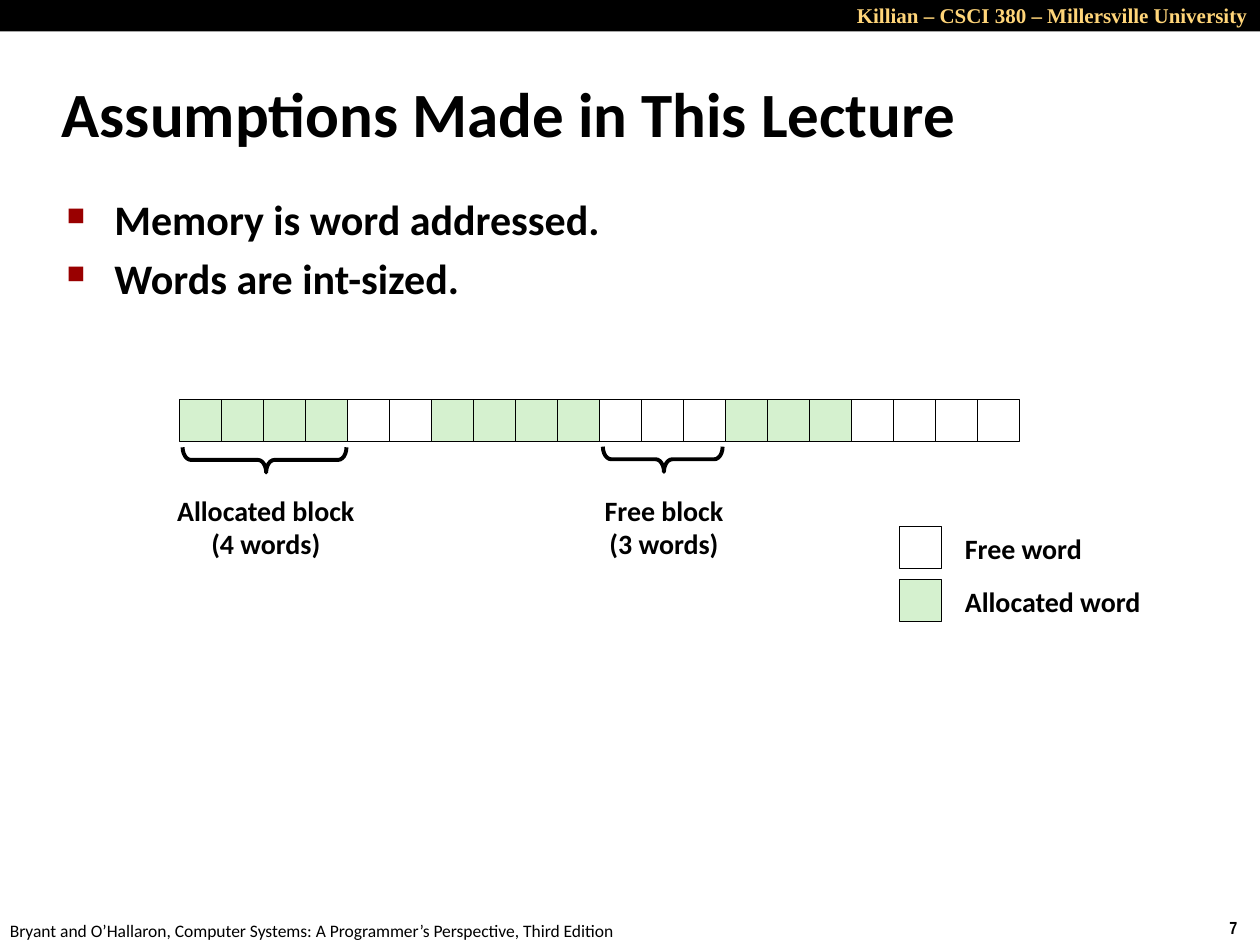
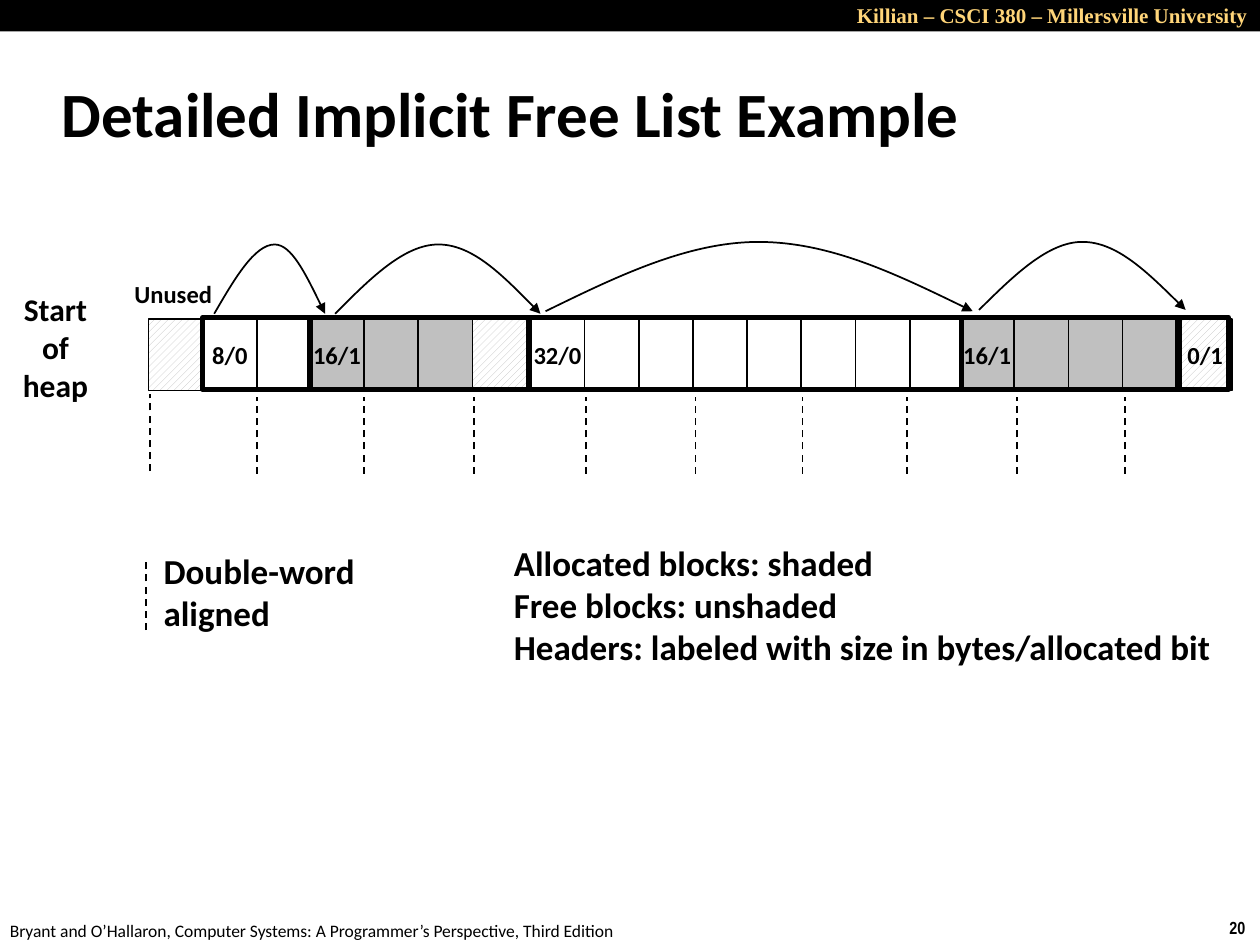
from dataclasses import dataclass
from typing import Optional

from lxml import etree
from pptx import Presentation
from pptx.dml.color import RGBColor
from pptx.enum.dml import MSO_LINE, MSO_PATTERN
from pptx.enum.shapes import MSO_CONNECTOR, MSO_SHAPE
from pptx.enum.text import MSO_ANCHOR, MSO_AUTO_SIZE, PP_ALIGN
from pptx.oxml.ns import qn
from pptx.util import Emu, Pt

LEFT, CENTER, RIGHT = PP_ALIGN.LEFT, PP_ALIGN.CENTER, PP_ALIGN.RIGHT
TOP, MIDDLE = MSO_ANCHOR.TOP, MSO_ANCHOR.MIDDLE
RECT, BRACE = MSO_SHAPE.RECTANGLE, MSO_SHAPE.LEFT_BRACE
STRAIGHT, DASH = MSO_CONNECTOR.STRAIGHT, MSO_LINE.DASH
HATCHING = MSO_PATTERN.WIDE_UPWARD_DIAGONAL
NO_FIT = MSO_AUTO_SIZE.NONE

EMU_PER_PX = 9144  # 100 px to the inch
TITLE_ONLY = 5

COLORS = {
    "ink": "000000",
    "paper": "FFFFFF",
    "course": "FFD579",
    "bullet": "990000",
    "allocated": "D5F1CF",
    "shaded": "C0C0C0",
}


def font_format(size: int, name: str = "Calibri", bold: bool = True) -> dict:
    return {"size": Pt(size), "name": name, "bold": bold}


TITLE = font_format(36)
BODY = font_format(24)
NOTE = font_format(20)
SIDE = font_format(18)
LABEL = font_format(16)
HEADER = font_format(14)
COURSE = font_format(12, "Times New Roman")
PAGE = font_format(10, "Arial Narrow")
SOURCE = font_format(10, bold=False)


@dataclass
class Label:
    x: int
    y: int
    w: int
    h: int
    lines: list[str]
    font: dict
    color: str = "ink"
    align: PP_ALIGN = LEFT
    anchor: MSO_ANCHOR = TOP
    wrap: bool = False
    spacing: Optional[float] = None


@dataclass
class Block:
    x: int
    header: str
    fills: list[str]
    outline: Optional[tuple[int, int]] = None  # left and width


@dataclass
class Arc:
    start: int
    apex: int
    end: int
    top: int
    base: int


def px(n: float) -> Emu:
    return Emu(round(n * EMU_PER_PX))


def rgb(key: str) -> RGBColor:
    return RGBColor.from_string(COLORS[key])


# ---- drawing helpers ----
def write(tf, lines: list[str], font: dict, color: str = "ink",
          align: PP_ALIGN = LEFT, spacing: Optional[float] = None) -> None:
    for i, line in enumerate(lines):
        p = tf.add_paragraph() if i else tf.paragraphs[0]
        p.alignment = align
        if spacing:
            p.line_spacing = spacing
        r = p.add_run()
        r.text = line
        for key, value in font.items():
            setattr(r.font, key, value)
        r.font.color.rgb = rgb(color)


def add_label(slide, label: Label):
    box = (label.x, label.y, label.w, label.h)
    tf = slide.shapes.add_textbox(*map(px, box)).text_frame
    tf.word_wrap = label.wrap
    tf.vertical_anchor = label.anchor
    write(tf, label.lines, label.font, label.color, label.align, label.spacing)
    return tf


def set_line(line, width: float) -> None:
    line.color.rgb = rgb("ink")
    line.width = Pt(width)


def add_box(slide, x: float, y: int, w: float, h: float, fill: Optional[str] = None,
            width: float = 1, kind: MSO_SHAPE = RECT):
    sp = slide.shapes.add_shape(kind, *map(px, (x, y, w, h)))
    sp.shadow.inherit = False
    if fill is None:
        sp.fill.background()
    elif fill == "hatched":
        sp.fill.patterned()
        sp.fill.pattern = HATCHING
        sp.fill.fore_color.rgb = rgb("shaded")
        sp.fill.back_color.rgb = rgb("paper")
    else:
        sp.fill.solid()
        sp.fill.fore_color.rgb = rgb(fill)
    if width:
        set_line(sp.line, width)
    else:
        sp.line.fill.background()
    return sp


def add_brace(slide, x: int, y: int, w: int, h: int) -> None:
    sp = add_box(slide, x, y, w, h, width=2.25, kind=BRACE)
    sp.rotation = 270
    sp.adjustments[0] = 0.33
    sp.adjustments[1] = 0.51


def add_dash(slide, x: int, bottom: int, top: int) -> None:
    line = slide.shapes.add_connector(STRAIGHT, *map(px, (x, bottom, x, top)))
    set_line(line.line, 1)
    line.line.dash_style = DASH
    etree.SubElement(line._element.spPr, qn("a:effectLst"))


def add_arc(slide, arc: Arc) -> None:
    rise, fall = (arc.apex - arc.start) / 3, (arc.end - arc.apex) / 3
    middle = (arc.top + arc.base) / 2
    points = [(arc.start + rise, middle), (arc.apex - rise, arc.top),
              (arc.apex, arc.top), (arc.apex + fall, arc.top),
              (arc.end - fall, middle), (arc.end, arc.base)]
    builder = slide.shapes.build_freeform(px(arc.start), px(arc.base))
    builder.add_line_segments([(px(x), px(y)) for x, y in points], close=False)
    sp = builder.convert_to_shape()
    sp.shadow.inherit = False
    sp.fill.background()
    set_line(sp.line, 1)
    # Turn each three straight segments into one cubic curve
    path = next(sp._element.iter(qn("a:path")))
    segments = path.findall(qn("a:lnTo"))
    for i in range(0, len(segments), 3):
        curve = etree.SubElement(path, qn("a:cubicBezTo"))
        for segment in segments[i:i + 3]:
            curve.append(segment[0])
            path.remove(segment)
    ln = sp._element.spPr.find(qn("a:ln"))
    etree.SubElement(ln, qn("a:tailEnd"), type="triangle")


def add_bullets(tf) -> None:
    for i, p in enumerate(tf.paragraphs):
        if i:
            p.space_before = Pt(4.8)
        pPr = p._p.get_or_add_pPr()
        pPr.set("marL", str(px(38)))
        pPr.set("indent", str(px(-38)))
        color = etree.SubElement(pPr, qn("a:buClr"))
        etree.SubElement(color, qn("a:srgbClr"), val=COLORS["bullet"])
        etree.SubElement(pPr, qn("a:buSzPct"), val="60000")
        etree.SubElement(pPr, qn("a:buChar"), char="■")


# ---- shared frame: band, course, page number, source, title ----
def add_frame(prs, title: str, page: str):
    slide = prs.slides.add_slide(prs.slide_layouts[TITLE_ONLY])
    add_box(slide, 0, 0, 1000, 25, "ink", width=0)
    for label in (
        Label(608, -3, 392, 30, ["Killian – CSCI 380 – Millersville University"],
              COURSE, "course", RIGHT, wrap=True),
        Label(966, 723, 34, 27, [page], PAGE),
        Label(-2, 725, 508, 27, ["Bryant and O’Hallaron, Computer Systems: "
                                 "A Programmer’s Perspective, Third Edition"], SOURCE),
    ):
        add_label(slide, label)
    sp = slide.shapes.title
    sp.left, sp.top, sp.width, sp.height = map(px, (39, 48, 830, 83))
    tf = sp.text_frame
    tf.auto_size = NO_FIT
    tf.vertical_anchor = MIDDLE
    write(tf, [title], TITLE)
    pPr = tf.paragraphs[0]._p.get_or_add_pPr()
    pPr.set("marL", str(px(13)))
    pPr.set("indent", str(px(-13)))
    return slide


# ---- slide: assumptions ----
def build_assumptions(prs) -> None:
    slide = add_frame(prs, "Assumptions Made in This Lecture", "7")
    add_bullets(add_label(slide, Label(
        43, 149, 864, 544, ["Memory is word addressed.", "Words are int-sized."],
        BODY, wrap=True)))

    # Row of words: A is allocated, F is free
    fills = {"A": "allocated", "F": "paper"}
    side = 100 / 3
    for i, state in enumerate("AAAAFFAAAAFFFAAAFFFF"):
        add_box(slide, 142.5 + i * side, 317, side, side, fills[state], 0.25)

    for x, w, lines in ((130, 162, ["Allocated block", "(4 words)"]),
                        (467, 120, ["Free block", "(3 words)"])):
        add_label(slide, Label(x, 388, w, 63, lines, LABEL, align=CENTER, spacing=0.98))
    add_brace(slide, 200, 300, 20, 130)
    add_brace(slide, 516, 317, 20, 95)

    # Legend
    for y, w, state, text in ((418, 114, "F", "Free word"),
                              (460, 161, "A", "Allocated word")):
        add_box(slide, 714, y, side, side, fills[state], 0.25)
        add_label(slide, Label(756, y, w, 37, [text], LABEL, spacing=0.98))


# ---- slide: implicit free list ----
WORD_W, WORD_H = 43, 57
BLOCKS = [
    Block(118, "", ["hatched"]),
    Block(161, "8/0", ["paper"] * 2, (161, 85)),
    Block(246, "16/1", ["shaded"] * 3 + ["hatched"], (246, 174)),
    Block(421, "32/0", ["paper"] * 8, (420, 343)),
    Block(762, "16/1", ["shaded"] * 4, (763, 173)),
    Block(935, "0/1", ["hatched"], (935, 40)),
]
ARCS = [
    Arc(170, 218, 258, 194, 249),
    Arc(266, 348, 429, 194, 249),
    Arc(433, 602, 772, 192, 247),
    Arc(777, 859, 941, 192, 246),
]
ALIGNED = [204, 289, 376, 465, 552, 637, 720, 807, 893]


def build_free_list(prs) -> None:
    slide = add_frame(prs, "Detailed Implicit Free List Example", "20")

    # Heap words, then the heavy block outlines over them
    for block in BLOCKS:
        for i, fill in enumerate(block.fills):
            sp = add_box(slide, block.x + i * WORD_W, 253, WORD_W, WORD_H, fill)
            if block.header and i == 0:
                tf = sp.text_frame
                tf.word_wrap = False
                tf.vertical_anchor = MIDDLE
                write(tf, [block.header], HEADER, align=CENTER)
    for block in BLOCKS:
        if block.outline:
            x, w = block.outline
            add_box(slide, x, 252, w, WORD_H, width=3)
    for arc in ARCS:
        add_arc(slide, arc)

    # Double-word boundaries and their legend mark
    add_dash(slide, 119, 374, 313)
    for x in ALIGNED:
        add_dash(slide, x, 376, 315)
    add_dash(slide, 116, 500, 445)

    for label in (
        Label(8, 225, 72, 101, ["Start", "of", "heap"], SIDE, align=CENTER, anchor=MIDDLE),
        Label(92, 215, 91, 37, ["Unused"], HEADER, align=CENTER, anchor=MIDDLE),
        Label(120, 431, 204, 77, ["Double-word", "aligned"], NOTE, anchor=MIDDLE, wrap=True),
        Label(398, 425, 579, 111, ["Allocated blocks: shaded", "Free blocks: unshaded",
                                   "Headers: labeled with size in bytes/allocated bit"], NOTE),
    ):
        add_label(slide, label)


def main() -> None:
    prs = Presentation()
    prs.slide_width, prs.slide_height = px(1000), px(750)
    build_assumptions(prs)
    build_free_list(prs)
    prs.save("out.pptx")


if __name__ == "__main__":
    main()
